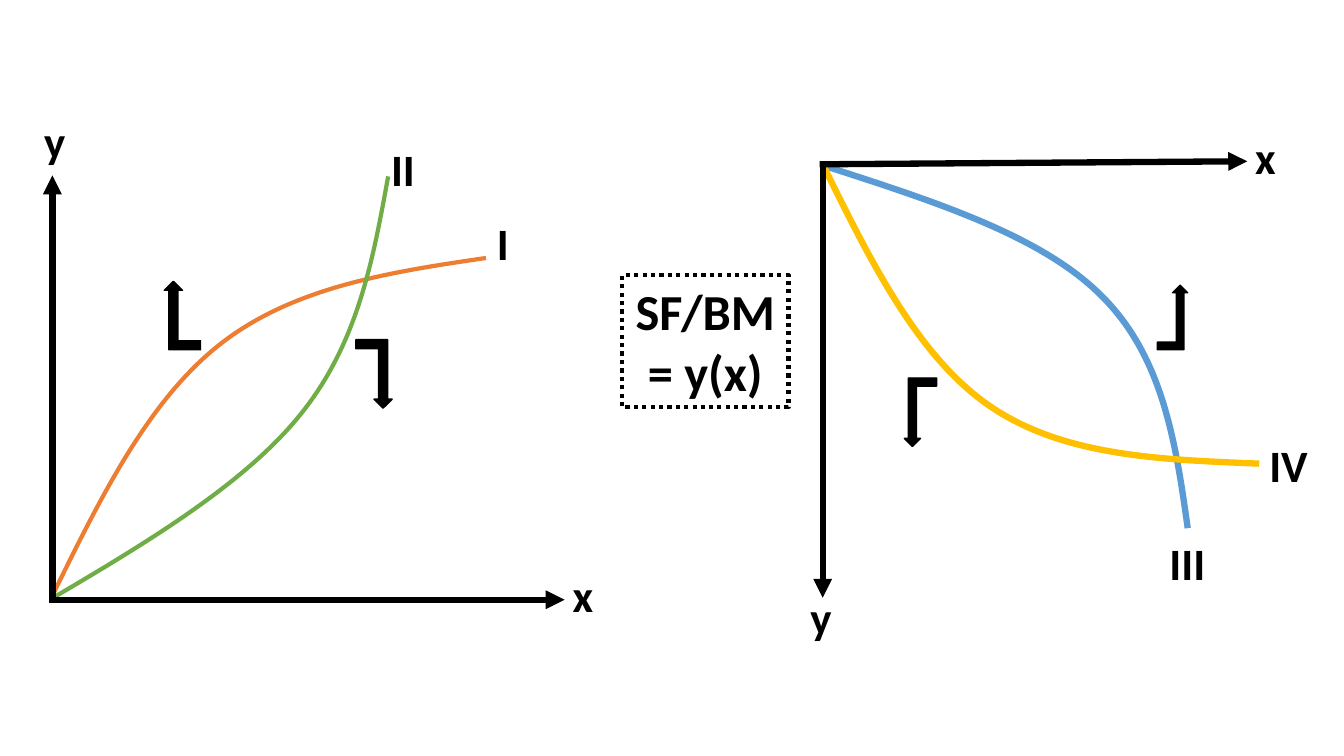
"""Build a slide of four y(x) curves in two coordinate systems."""
from dataclasses import dataclass

from lxml.etree import SubElement
from pptx import Presentation
from pptx.dml.color import RGBColor
from pptx.enum.dml import MSO_LINE
from pptx.enum.shapes import MSO_CONNECTOR, MSO_SHAPE
from pptx.enum.text import MSO_ANCHOR, MSO_AUTO_SIZE, PP_ALIGN
from pptx.oxml.ns import qn
from pptx.util import Inches, Pt

BLACK = RGBColor(0x00, 0x00, 0x00)
ORANGE = RGBColor(0xED, 0x7D, 0x31)
GREEN = RGBColor(0x70, 0xAD, 0x47)
BLUE = RGBColor(0x5B, 0x9B, 0xD5)
GOLD = RGBColor(0xFF, 0xC0, 0x00)
FONT = "Calibri"
LABEL_W, LABEL_H = 0.89, 0.64

Point = tuple[float, float]


@dataclass
class Curve:
    points: list[Point]
    color: RGBColor
    width: float


@dataclass
class Axis:
    start: Point
    end: Point


@dataclass
class Label:
    text: str
    left: float
    top: float


@dataclass
class Turn:
    left: float
    top: float
    width: float
    height: float
    flips: tuple[str, ...] = ()


CURVES = [
    Curve([(0.51, 5.93), (0.99, 4.95), (1.47, 3.97), (2.19, 3.41),
           (2.91, 2.85), (3.86, 2.7), (4.82, 2.56)], ORANGE, 3),
    Curve([(0.51, 5.94), (1.48, 5.37), (2.44, 4.79), (2.99, 4.1),
           (3.55, 3.4), (3.7, 2.58), (3.85, 1.75)], GREEN, 3),
    Curve([(8.16, 1.64), (9.24, 1.99), (10.32, 2.33), (10.92, 2.93),
           (11.53, 3.53), (11.66, 4.38), (11.78, 5.24)], BLUE, 4.5),
    Curve([(8.16, 1.63), (8.63, 2.58), (9.1, 3.54), (9.82, 4.03),
           (10.55, 4.53), (11.52, 4.56), (12.49, 4.6)], GOLD, 4.5),
]
AXES = [
    Axis((8.16, 1.6), (8.16, 5.93)),
    Axis((8.13, 1.63), (12.37, 1.6)),
    Axis((0.52, 5.95), (0.52, 1.74)),
    Axis((0.49, 5.95), (5.6, 5.95)),
]
LABELS = [
    Label("y", 0.34, 1.08),
    Label("x", 5.58, 5.58),
    Label("I", 4.83, 2.09),
    Label("II", 3.78, 1.36),
    Label("y", 7.94, 5.8),
    Label("x", 12.35, 1.24),
    Label("III", 11.5, 5.27),
    Label("IV", 12.49, 4.29),
]
TURNS = [
    Turn(1.63, 2.79, 0.36, 0.68, ("flipH",)),
    Turn(3.53, 3.37, 0.36, 0.68, ("flipV",)),
    Turn(8.97, 3.75, 0.32, 0.68, ("flipH", "flipV")),
    Turn(11.48, 2.83, 0.3, 0.64),
]


def write(sp, text: str, *, size: float, align=PP_ALIGN.LEFT, anchor=MSO_ANCHOR.TOP) -> None:
    """Put bold black text in a shape."""
    tf = sp.text_frame
    tf.word_wrap = True
    tf.auto_size = MSO_AUTO_SIZE.SHAPE_TO_FIT_TEXT
    tf.vertical_anchor = anchor
    p = tf.paragraphs[0]
    p.alignment = align
    r = p.add_run()
    r.text = text
    r.font.name = FONT
    r.font.size = Pt(size)
    r.font.bold = True
    r.font.color.rgb = BLACK


def set_line(sp, color: RGBColor, width: float) -> None:
    """Give a shape or connector a solid line."""
    sp.line.color.rgb = color
    sp.line.width = Pt(width)


def draw_curve(slide, curve: Curve) -> None:
    """Draw a chain of cubic Bezier segments."""
    points = [(Inches(x), Inches(y)) for x, y in curve.points]
    builder = slide.shapes.build_freeform(*points[0])
    builder.add_line_segments(points[1:], close=False)
    sp = builder.convert_to_shape()
    sp.shadow.inherit = False
    sp.fill.background()
    set_line(sp, curve.color, curve.width)
    path = next(sp.element.iter(qn("a:path")))
    segments = path.findall(qn("a:lnTo"))
    for i in range(0, len(segments), 3):
        bezier = SubElement(path, qn("a:cubicBezTo"))
        for segment in segments[i:i + 3]:
            bezier.append(segment[0])
            path.remove(segment)


def draw_axis(slide, axis: Axis) -> None:
    """Draw an axis with an arrowhead at its end."""
    ends = [Inches(v) for v in (*axis.start, *axis.end)]
    line = slide.shapes.add_connector(MSO_CONNECTOR.STRAIGHT, *ends)
    set_line(line, BLACK, 4.5)
    SubElement(line.line._get_or_add_ln(), qn("a:tailEnd"), type="triangle")
    SubElement(line.element.spPr, qn("a:effectLst"))


def draw_label(slide, label: Label) -> None:
    """Place an axis or curve label."""
    sp = slide.shapes.add_textbox(Inches(label.left), Inches(label.top),
                                  Inches(LABEL_W), Inches(LABEL_H))
    write(sp, label.text, size=32)


def draw_turn(slide, turn: Turn) -> None:
    """Draw a bent arrow beside a curve."""
    box = [Inches(v) for v in (turn.left, turn.top, turn.width, turn.height)]
    sp = slide.shapes.add_shape(MSO_SHAPE.BENT_UP_ARROW, *box)
    sp.shadow.inherit = False
    sp.fill.solid()
    sp.fill.fore_color.rgb = BLACK
    set_line(sp, BLACK, 1)
    for flip in turn.flips:
        sp.element.spPr.find(qn("a:xfrm")).set(flip, "1")


def draw_formula(slide) -> None:
    """Draw the dotted box with the formula."""
    sp = slide.shapes.add_shape(MSO_SHAPE.RECTANGLE, Inches(6.17), Inches(2.73),
                                Inches(1.65), Inches(1.31))
    sp.shadow.inherit = False
    sp.fill.background()
    set_line(sp, BLACK, 3)
    sp.line.dash_style = MSO_LINE.ROUND_DOT
    write(sp, "SF/BM = y(x)", size=36, align=PP_ALIGN.CENTER)


def main() -> None:
    """Build and save the slide."""
    prs = Presentation()
    prs.slide_width, prs.slide_height = Inches(13.33), Inches(7.5)
    slide = prs.slides.add_slide(prs.slide_layouts[6])
    for curve in CURVES:
        draw_curve(slide, curve)
    for axis in AXES:
        draw_axis(slide, axis)
    for label in LABELS:
        draw_label(slide, label)
    for turn in TURNS:
        draw_turn(slide, turn)
    draw_formula(slide)
    prs.save("out.pptx")


if __name__ == "__main__":
    main()
